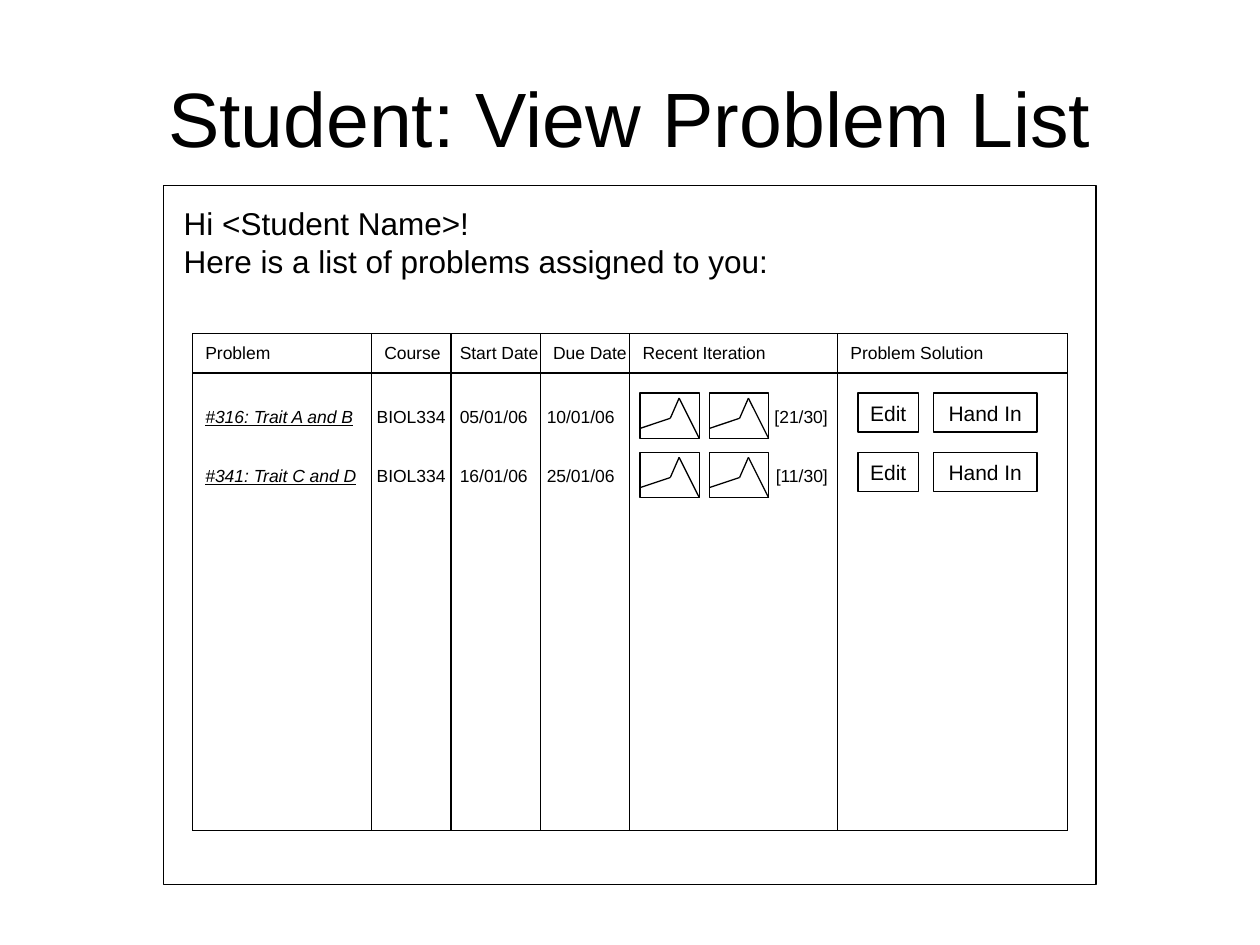
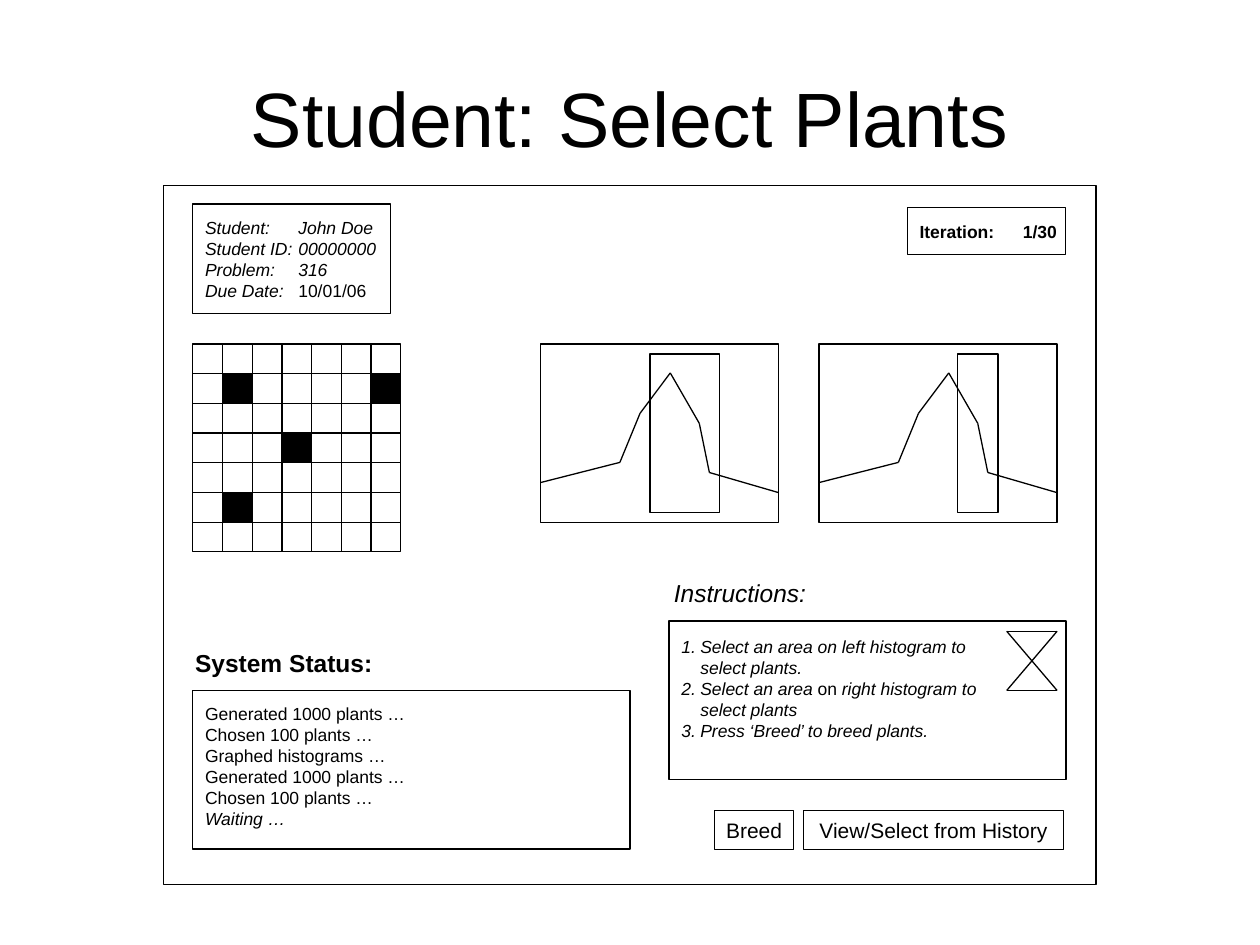
from itertools import pairwise

from lxml.etree import SubElement
from pptx import Presentation
from pptx.dml.color import RGBColor
from pptx.enum.shapes import MSO_CONNECTOR as Connector, MSO_SHAPE as Shape
from pptx.enum.text import MSO_ANCHOR as Anchor, PP_ALIGN as Align
from pptx.oxml.ns import qn
from pptx.util import Inches, Pt

BLACK = RGBColor(0, 0, 0)
FONT = "Arial"
LINE_WIDTH = Pt(0.75)
TITLE_ONLY = 5
WINDOW = (1.3, 1.47, 7.4, 5.55)

GREETING = ["Hi <Student Name>!", "Here is a list of problems assigned to you:"]
HEADERS = ["Problem", "Course", "Start Date", "Due Date", "Recent Iteration", "Problem Solution"]
PROBLEMS = [
    ["#316: Trait A and B", "BIOL334", "05/01/06", "10/01/06", "[21/30]", ""],
    ["#341: Trait C and D", "BIOL334", "16/01/06", "25/01/06", "[11/30]", ""],
]
COLUMN_EDGES = [1.53, 2.95, 3.58, 4.29, 5, 6.65, 8.47]
ROW_EDGES = [2.65, 2.96, 3.54, 4.01, 6.59]
HEADER_INSETS = [0.1, 0.1, 0.07, 0.1, 0.1, 0.1]
BODY_INSETS = [0.1, 0.04, 0.07, 0.05, 0.1, 0.1]
FIRST_ROW_TOP, ROW_STEP = 3.12, 0.47
SPARKLINE_LEFTS = [5.08, 5.63]
SPARKLINE = [(0, 0.28), (0.24, 0.2), (0.31, 0.04), (0.47, 0.36)]
ROW_BUTTONS = [("Edit", 6.81, 0.48), ("Hand In", 7.41, 0.82)]

STUDENT = [
    "Student:\tJohn Doe",
    "Student ID:\t00000000",
    "Problem:\t316",
    [("Due Date:\t", True), ("10/01/06", False)],
]
ITERATION = ["Iteration:\t1/30"]
STATUS = [
    "Generated 1000 plants …",
    "Chosen 100 plants …",
    "Graphed histograms …",
    "Generated 1000 plants …",
    "Chosen 100 plants …",
    [("Waiting …", True)],
]
INSTRUCTIONS = [
    "Select an area on left histogram to select plants.",
    [("Select an area", True), (" on ", False), ("right histogram to select plants", True)],
    "Press ‘Breed’ to breed plants.",
]
GRID_LEFT, GRID_TOP, GRID_SIZE, GRID_COUNT = 1.53, 2.73, 1.65, 7
CHOSEN_PLANTS = [(1, 1), (6, 1), (3, 3), (1, 5)]
HISTOGRAM_TOP = 2.73
HISTOGRAM = [(0, 1.1), (0.63, 0.94), (0.79, 0.55), (1.03, 0.23), (1.26, 0.63), (1.34, 1.02), (1.89, 1.18)]
HISTOGRAMS = [(4.29, 5.16, 0.55), (6.5, 7.6, 0.32)]
HOURGLASS = [(0, 0), (0.4, 0.47), (0, 0.47), (0.4, 0), (0, 0)]
ACTIONS = [("Breed", 5.67, 0.63), ("View/Select from History", 6.38, 2.06)]


def write_text(frame, paragraphs, size=10, bold=False, italic=False, underline=False,
               align=Align.LEFT, tab=None, numbered=False):
    """Fill a text frame; a paragraph is a string or a list of (text, italic) runs."""
    for index, content in enumerate(paragraphs):
        paragraph = frame.add_paragraph() if index else frame.paragraphs[0]
        paragraph.alignment = align
        properties = paragraph._p.get_or_add_pPr()
        if numbered:
            properties.set("marL", str(Inches(0.15)))
            properties.set("indent", str(-Inches(0.15)))
            SubElement(properties, qn("a:buFont"), typeface=FONT)
            SubElement(properties, qn("a:buAutoNum"), type="arabicPeriod")
        if tab:
            stops = SubElement(properties, qn("a:tabLst"))
            SubElement(stops, qn("a:tab"), pos=str(Inches(tab)), algn="l")
        for text, slanted in [(content, italic)] if isinstance(content, str) else content:
            run = paragraph.add_run()
            run.text = text
            font = run.font
            font.name, font.size, font.bold = FONT, Pt(size), bold
            font.italic, font.underline = slanted, underline
            font.color.rgb = BLACK


def add_box(slide, left, top, width, height, paragraphs=(), filled=False,
            anchor=Anchor.MIDDLE, inset=0.05, **style):
    """Add an outlined rectangle, optionally holding text."""
    box = slide.shapes.add_shape(Shape.RECTANGLE, *map(Inches, (left, top, width, height)))
    box.shadow.inherit = False
    box.line.color.rgb, box.line.width = BLACK, LINE_WIDTH
    if filled:
        box.fill.solid()
        box.fill.fore_color.rgb = BLACK
    else:
        box.fill.background()
    frame = box.text_frame
    frame.vertical_anchor, frame.margin_top = anchor, Inches(inset)
    write_text(frame, paragraphs, **style)
    return box


def add_button(slide, label, left, top, width):
    """Add a labelled button."""
    button = add_box(slide, left, top, width, 0.31, [label], size=12, align=Align.CENTER)
    button.text_frame.word_wrap = False


def add_label(slide, left, top, width, height, paragraphs, **style):
    """Add a plain text box."""
    label = slide.shapes.add_textbox(*map(Inches, (left, top, width, height)))
    label.text_frame.word_wrap = True
    write_text(label.text_frame, paragraphs, **style)


def add_path(slide, left, top, points):
    """Join points, given relative to a corner, with straight lines."""
    for (x1, y1), (x2, y2) in pairwise(points):
        ends = (left + x1, top + y1, left + x2, top + y2)
        line = slide.shapes.add_connector(Connector.STRAIGHT, *map(Inches, ends))
        line.line.color.rgb, line.line.width = BLACK, LINE_WIDTH
        SubElement(line._element.spPr, qn("a:effectLst"))


def add_screen(presentation, title):
    """Add a titled slide with the window outline."""
    slide = presentation.slides.add_slide(presentation.slide_layouts[TITLE_ONLY])
    heading = slide.shapes.title
    heading.left, heading.top, heading.width, heading.height = map(Inches, (0.5, 0.3, 9, 1.25))
    heading.text_frame.vertical_anchor = Anchor.MIDDLE
    write_text(heading.text_frame, [title], size=44, align=Align.CENTER)
    add_box(slide, *WINDOW)
    return slide


def set_borders(cell, sides):
    """Draw the listed sides of a cell and hide the others."""
    properties = cell._tc.get_or_add_tcPr()
    for side in "LRTB":
        line = SubElement(properties, qn(f"a:ln{side}"), w=str(LINE_WIDTH))
        if side in sides:
            fill = SubElement(line, qn("a:solidFill"))
            SubElement(fill, qn("a:srgbClr"), val=str(BLACK))
        else:
            SubElement(line, qn("a:noFill"))
    cell.fill.background()


def add_problem_table(slide):
    """Add the table of problems, with open space below its rows."""
    rows = [HEADERS, *PROBLEMS, [""] * len(HEADERS)]
    left, top = COLUMN_EDGES[0], ROW_EDGES[0]
    width, height = COLUMN_EDGES[-1] - left, ROW_EDGES[-1] - top
    frame = slide.shapes.add_table(len(rows), len(HEADERS), *map(Inches, (left, top, width, height)))
    table = frame.table
    table.first_row = table.horz_banding = False
    for column, (start, end) in zip(table.columns, pairwise(COLUMN_EDGES)):
        column.width = Inches(end - start)
    for row, (start, end) in zip(table.rows, pairwise(ROW_EDGES)):
        row.height = Inches(end - start)
    last = len(rows) - 1
    for row_index, texts in enumerate(rows):
        is_header = row_index == 0
        is_problem = 0 < row_index < last
        sides = "LR" + {0: "TB", 1: "T", last: "B"}.get(row_index, "")
        insets = HEADER_INSETS if is_header else BODY_INSETS
        for column_index, text in enumerate(texts):
            cell = table.cell(row_index, column_index)
            is_link = is_problem and column_index == 0
            is_score = is_problem and column_index == 4
            cell.margin_left = Inches(insets[column_index])
            cell.margin_right = Inches(0.08 if is_score else 0)
            cell.margin_top = 0
            cell.margin_bottom = Inches(0.15 if is_problem else 0)
            cell.vertical_anchor = Anchor.BOTTOM if is_problem else Anchor.MIDDLE
            set_borders(cell, sides)
            if text:
                write_text(cell.text_frame, [text], italic=is_link, underline=is_link,
                           align=Align.RIGHT if is_score else Align.LEFT)


def build_problem_list(presentation):
    """Build the list of assigned problems."""
    slide = add_screen(presentation, "Student: View Problem List")
    add_label(slide, 1.36, 1.57, 5.2, 0.7, GREETING, size=18)
    add_problem_table(slide)
    for index in range(len(PROBLEMS)):
        top = FIRST_ROW_TOP + index * ROW_STEP
        for left in SPARKLINE_LEFTS:
            add_box(slide, left, top, 0.47, 0.36)
            add_path(slide, left, top, SPARKLINE)
        for label, left, width in ROW_BUTTONS:
            add_button(slide, label, left, top, width)


def add_plant_grid(slide):
    """Add the square grid of plants with the chosen ones filled."""
    step = GRID_SIZE / GRID_COUNT
    add_box(slide, GRID_LEFT, GRID_TOP, GRID_SIZE, GRID_SIZE)
    for index in range(1, GRID_COUNT):
        offset = index * step
        add_path(slide, GRID_LEFT, GRID_TOP, [(0, offset), (GRID_SIZE, offset)])
        add_path(slide, GRID_LEFT, GRID_TOP, [(offset, 0), (offset, GRID_SIZE)])
    for column, row in CHOSEN_PLANTS:
        add_box(slide, GRID_LEFT + column * step, GRID_TOP + row * step, step, step, filled=True)


def build_plant_selection(presentation):
    """Build the plant selection screen."""
    slide = add_screen(presentation, "Student: Select Plants")
    add_box(slide, 1.53, 1.62, 1.57, 0.87, STUDENT, italic=True, tab=0.74)
    add_box(slide, 7.2, 1.65, 1.26, 0.37, ITERATION, bold=True, tab=0.82).text_frame.margin_right = 0
    add_plant_grid(slide)
    for left, selection_left, selection_width in HISTOGRAMS:
        add_box(slide, left, HISTOGRAM_TOP, 1.89, 1.42)
        add_path(slide, left, HISTOGRAM_TOP, HISTOGRAM)
        add_box(slide, selection_left, 2.81, selection_width, 1.26)
    add_label(slide, 1.45, 5.09, 1.8, 0.34, ["System Status:"], size=14, bold=True)
    add_box(slide, 1.53, 5.48, 3.47, 1.26, STATUS, anchor=Anchor.TOP, inset=0.1)
    add_label(slide, 5.25, 4.54, 1.5, 0.34, ["Instructions:"], size=14, italic=True)
    instructions = add_box(slide, 5.31, 4.93, 3.15, 1.26, INSTRUCTIONS, anchor=Anchor.TOP,
                           inset=0.12, italic=True, numbered=True)
    instructions.text_frame.margin_right = Inches(0.65)
    add_path(slide, 7.99, 5.01, HOURGLASS)
    for label, left, width in ACTIONS:
        add_button(slide, label, left, 6.43, width)


def main():
    """Build and save the presentation."""
    presentation = Presentation()
    presentation.slide_width, presentation.slide_height = Inches(10), Inches(7.5)
    build_problem_list(presentation)
    build_plant_selection(presentation)
    presentation.save("out.pptx")


if __name__ == "__main__":
    main()
